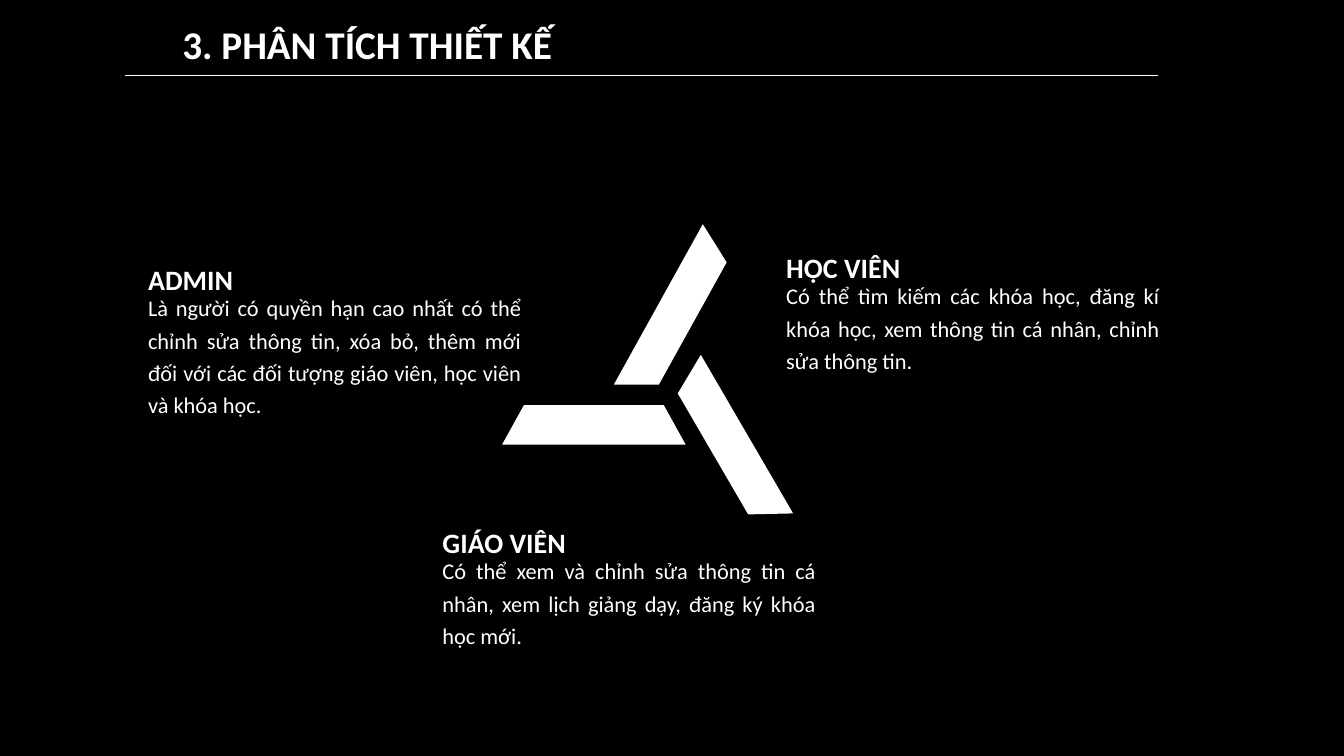
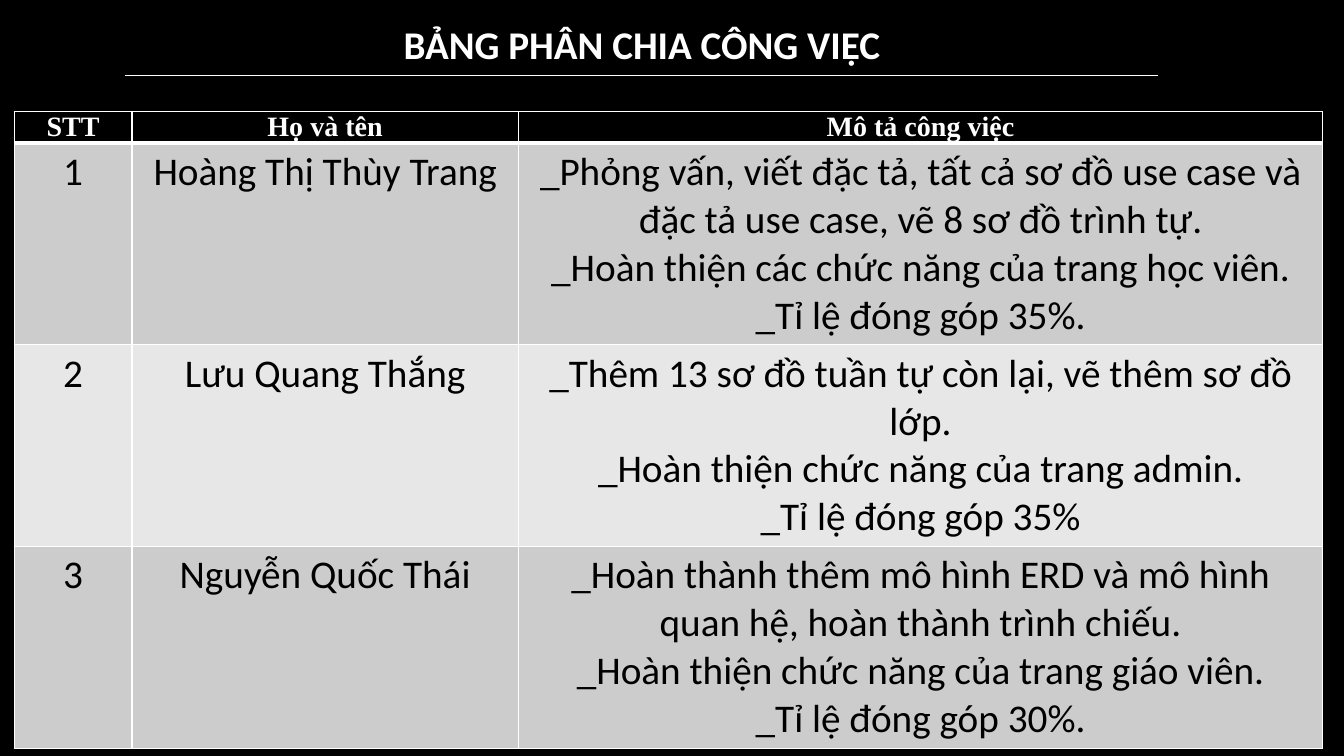
from dataclasses import dataclass

from lxml import etree
from pptx import Presentation
from pptx.dml.color import RGBColor
from pptx.enum.shapes import MSO_CONNECTOR, MSO_SHAPE
from pptx.enum.text import MSO_AUTO_SIZE, PP_ALIGN
from pptx.oxml.ns import qn
from pptx.presentation import Presentation as PresentationType
from pptx.slide import Slide
from pptx.table import _Cell as Cell
from pptx.text.text import _Paragraph as Paragraph
from pptx.util import Inches, Pt

LEFT, CENTER, JUSTIFY = PP_ALIGN.LEFT, PP_ALIGN.CENTER, PP_ALIGN.JUSTIFY
GROW = MSO_AUTO_SIZE.SHAPE_TO_FIT_TEXT
STRAIGHT = MSO_CONNECTOR.STRAIGHT
TRAPEZOID = MSO_SHAPE.TRAPEZOID
BLANK_LAYOUT = 6


@dataclass(frozen=True)
class TextStyle:
    size: int
    color: str
    bold: bool = False
    font: str = "Calibri"
    align: PP_ALIGN = LEFT
    line_spacing: float | None = None


@dataclass(frozen=True)
class Theme:
    background: str = "000000"
    foreground: str = "FFFFFF"
    row_fills: tuple[str, str] = ("CCCCCC", "E7E7E7")
    title: TextStyle = TextStyle(28, "FFFFFF", True)
    centered_title: TextStyle = TextStyle(28, "FFFFFF", True, align=CENTER)
    role_name: TextStyle = TextStyle(20, "FFFFFF", True, align=JUSTIFY, line_spacing=1.2)
    role_duty: TextStyle = TextStyle(16, "FFFFFF", align=JUSTIFY, line_spacing=1.2)
    table_header: TextStyle = TextStyle(20, "FFFFFF", True, "Times New Roman", CENTER)
    table_body: TextStyle = TextStyle(28, "000000", align=CENTER)
    rule_width: float = 0.5
    border_width: int = 1
    header_border_width: int = 3


@dataclass(frozen=True)
class Box:
    left: float
    top: float
    width: float
    height: float


@dataclass(frozen=True)
class Role:
    name: str
    duty: str
    left: float
    top: float
    duty_height: float


@dataclass(frozen=True)
class Blade:
    left: float
    top: float
    rotation: float


@dataclass(frozen=True)
class Member:
    name: str
    tasks: tuple[str, ...]


THEME = Theme()

RULE_LEFT, RULE_RIGHT, RULE_TOP = 1.24, 11.49, 0.75
TITLE_TOP, TITLE_HEIGHT = 0.15, 0.57

BLADES = (Blade(5.79, 2.92, 119), Blade(4.98, 4.02, 0), Blade(6.33, 4.21, 239.8))
BLADE_WIDTH, BLADE_HEIGHT, BLADE_SLANT = 1.82, 0.39, 0.553

ROLES = (
    Role("HỌC VIÊN",
         "Có thể tìm kiếm các khóa học, đăng kí khóa học, xem thông tin cá nhân, "
         "chỉnh sửa thông tin.", 7.7, 2.37, 1.07),
    Role("ADMIN",
         "Là người có quyền hạn cao nhất có thể chỉnh sửa thông tin, xóa bỏ, thêm mới "
         "đối với các đối tượng giáo viên, học viên và khóa học.", 1.37, 2.49, 1.39),
    Role("GIÁO VIÊN",
         "Có thể xem và chỉnh sửa thông tin cá nhân, xem lịch giảng dạy, "
         "đăng ký khóa học mới.", 4.29, 5.1, 1.07),
)
DUTY_OFFSET = 0.33

HEADERS = ("STT", "Họ và tên", "Mô tả công việc")
MEMBERS = (
    Member("Hoàng Thị Thùy Trang", (
        "_Phỏng vấn, viết đặc tả, tất cả sơ đồ use case và đặc tả use case, "
        "vẽ 8 sơ đồ trình tự.",
        "_Hoàn thiện các chức năng của trang học viên.",
        "_Tỉ lệ đóng góp 35%.")),
    Member("Lưu Quang Thắng", (
        "_Thêm 13 sơ đồ tuần tự còn lại, vẽ thêm sơ đồ lớp.",
        "_Hoàn thiện chức năng của trang admin.",
        "_Tỉ lệ đóng góp 35%")),
    Member("Nguyễn Quốc Thái", (
        "_Hoàn thành thêm mô hình ERD và mô hình quan hệ, hoàn thành trình chiếu.",
        "_Hoàn thiện chức năng của trang giáo viên.",
        "_Tỉ lệ đóng góp 30%.")),
)
TABLE_LEFT, TABLE_TOP = 0.14, 1.11
COLUMN_WIDTHS = (1.17, 3.83, 7.98)
HEADER_HEIGHT, MEMBER_HEIGHT = 0.31, 2.0
HEADER_SIDE_MARGIN = 0.07


def rgb(color: str) -> RGBColor:
    return RGBColor.from_string(color)


def style_paragraph(paragraph: Paragraph, style: TextStyle) -> None:
    paragraph.alignment = style.align
    if style.line_spacing:
        paragraph.line_spacing = style.line_spacing
    font = paragraph.font
    font.name, font.size, font.bold = style.font, Pt(style.size), style.bold
    font.color.rgb = rgb(style.color)


def add_text(slide: Slide, text: str, box: Box, style: TextStyle, wrap: bool = True) -> None:
    shape = slide.shapes.add_textbox(
        Inches(box.left), Inches(box.top), Inches(box.width), Inches(box.height))
    frame = shape.text_frame
    frame.word_wrap = wrap
    frame.auto_size = GROW
    frame.text = text
    style_paragraph(frame.paragraphs[0], style)


def add_titled_slide(presentation: PresentationType) -> Slide:
    """Add a slide on the dark background with the rule under its title."""
    slide = presentation.slides.add_slide(presentation.slide_layouts[BLANK_LAYOUT])
    fill = slide.background.fill
    fill.solid()
    fill.fore_color.rgb = rgb(THEME.background)
    rule = slide.shapes.add_connector(
        STRAIGHT, Inches(RULE_LEFT), Inches(RULE_TOP), Inches(RULE_RIGHT), Inches(RULE_TOP))
    rule.line.color.rgb = rgb(THEME.foreground)
    rule.line.width = Pt(THEME.rule_width)
    etree.SubElement(rule._element.spPr, qn("a:effectLst"))
    return slide


def add_blade(slide: Slide, blade: Blade) -> None:
    shape = slide.shapes.add_shape(
        TRAPEZOID, Inches(blade.left), Inches(blade.top),
        Inches(BLADE_WIDTH), Inches(BLADE_HEIGHT))
    shape.adjustments[0] = BLADE_SLANT
    shape.rotation = blade.rotation
    shape.shadow.inherit = False
    shape.fill.solid()
    shape.fill.fore_color.rgb = rgb(THEME.foreground)
    shape.line.fill.background()


def add_role(slide: Slide, role: Role) -> None:
    duty_box = Box(role.left, role.top + DUTY_OFFSET, 3.9, role.duty_height)
    add_text(slide, role.duty, duty_box, THEME.role_duty)
    add_text(slide, role.name, Box(role.left, role.top, 2.24, 0.48), THEME.role_name)


def set_borders(cell: Cell, top: int, bottom: int) -> None:
    """Draw all four borders; must run before the cell is filled."""
    properties = cell._tc.get_or_add_tcPr()
    side = THEME.border_width
    for tag, width in (("a:lnL", side), ("a:lnR", side), ("a:lnT", top), ("a:lnB", bottom)):
        line = etree.SubElement(properties, qn(tag), w=str(Pt(width)))
        fill = etree.SubElement(line, qn("a:solidFill"))
        etree.SubElement(fill, qn("a:srgbClr"), val=THEME.foreground)


def fill_cell(cell: Cell, text: str, fill: str, style: TextStyle, top: int, bottom: int) -> None:
    set_borders(cell, top, bottom)
    cell.fill.solid()
    cell.fill.fore_color.rgb = rgb(fill)
    cell.text_frame.text = text
    for paragraph in cell.text_frame.paragraphs:
        style_paragraph(paragraph, style)


def add_work_table(slide: Slide) -> None:
    heights = (HEADER_HEIGHT,) + (MEMBER_HEIGHT,) * len(MEMBERS)
    table = slide.shapes.add_table(
        len(heights), len(COLUMN_WIDTHS), Inches(TABLE_LEFT), Inches(TABLE_TOP),
        Inches(sum(COLUMN_WIDTHS)), Inches(sum(heights))).table
    for column, width in zip(table.columns, COLUMN_WIDTHS):
        column.width = Inches(width)
    for row, height in zip(table.rows, heights):
        row.height = Inches(height)

    thin, thick = THEME.border_width, THEME.header_border_width
    for cell, header in zip(table.rows[0].cells, HEADERS):
        fill_cell(cell, header, THEME.background, THEME.table_header, thin, thick)
        cell.margin_left = cell.margin_right = Inches(HEADER_SIDE_MARGIN)
        cell.margin_top = cell.margin_bottom = Inches(0)
    for number, member in enumerate(MEMBERS, start=1):
        fill = THEME.row_fills[(number - 1) % 2]
        top = thick if number == 1 else thin
        texts = (str(number), member.name, "\n".join(member.tasks))
        for cell, text in zip(table.rows[number].cells, texts):
            fill_cell(cell, text, fill, THEME.table_body, top, thin)


def build_design_slide(presentation: PresentationType) -> None:
    slide = add_titled_slide(presentation)
    for blade in BLADES:
        add_blade(slide, blade)
    for role in ROLES:
        add_role(slide, role)
    title_box = Box(1.71, TITLE_TOP, 3.91, TITLE_HEIGHT)
    add_text(slide, "3. PHÂN TÍCH THIẾT KẾ", title_box, THEME.title, wrap=False)


def build_work_slide(presentation: PresentationType) -> None:
    slide = add_titled_slide(presentation)
    add_work_table(slide)
    title_box = Box(RULE_LEFT, TITLE_TOP, RULE_RIGHT - RULE_LEFT, TITLE_HEIGHT)
    add_text(slide, "BẢNG PHÂN CHIA CÔNG VIỆC", title_box, THEME.centered_title)


def main() -> None:
    presentation = Presentation()
    presentation.slide_width, presentation.slide_height = Inches(13.33), Inches(7.5)
    build_design_slide(presentation)
    build_work_slide(presentation)
    presentation.save("out.pptx")


if __name__ == "__main__":
    main()
